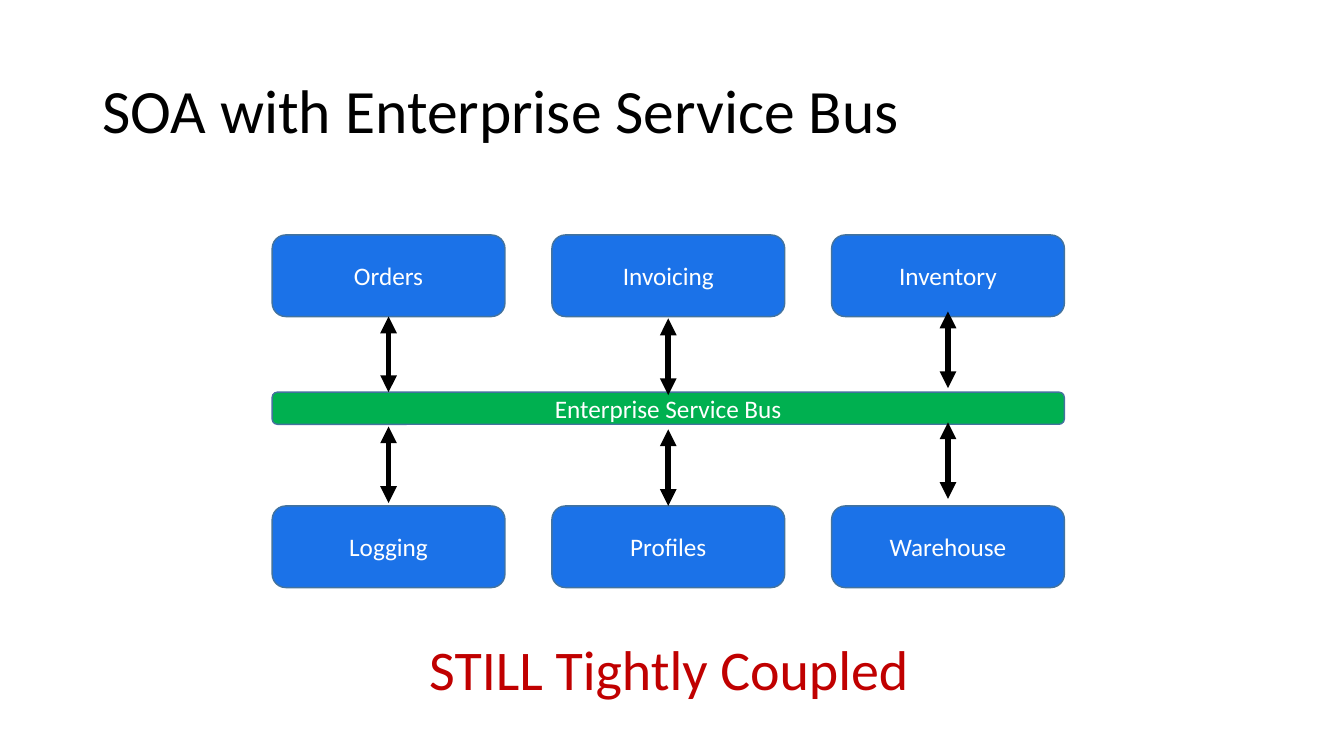
from lxml import etree
from pptx import Presentation
from pptx.dml.color import RGBColor
from pptx.enum.shapes import MSO_CONNECTOR, MSO_SHAPE
from pptx.enum.text import MSO_ANCHOR, PP_ALIGN
from pptx.oxml.ns import qn
from pptx.util import Pt

ROUND = MSO_SHAPE.ROUNDED_RECTANGLE
STRAIGHT = MSO_CONNECTOR.STRAIGHT
MIDDLE, TOP = MSO_ANCHOR.MIDDLE, MSO_ANCHOR.TOP
CENTER = PP_ALIGN.CENTER

BLACK = RGBColor(0x00, 0x00, 0x00)
WHITE = RGBColor(0xFF, 0xFF, 0xFF)
BLUE = RGBColor(0x1B, 0x72, 0xE8)
GREEN = RGBColor(0x00, 0xB0, 0x50)
EDGE = RGBColor(0x43, 0x73, 0x9E)
RED = RGBColor(0xC0, 0x00, 0x00)

FONT = "Calibri"
LEFT, PITCH = 194.4, 199.8
BOX_W, BOX_H = 166.3, 58.3
BUS_TOP, BUS_H = 280.1, 23
ARROW_H = 54.7
ROWS = [
    (167.8, ["Orders", "Invoicing", "Inventory"]),
    (361.4, ["Logging", "Profiles", "Warehouse"]),
]
ARROW_TOPS = [225.4, 304.6]
SHIFTS = [0, 2.1, -2.9]


def set_text(shape, text, size, color, anchor):
    frame = shape.text_frame
    frame.text = text
    frame.vertical_anchor = anchor
    para = frame.paragraphs[0]
    font = para.runs[0].font
    font.name, font.size = FONT, Pt(size)
    font.color.rgb = color
    return para


def add_label(slide, text, left, top, width, height, size, color, anchor, wrap):
    label = slide.shapes.add_textbox(Pt(left), Pt(top), Pt(width), Pt(height))
    label.text_frame.word_wrap = wrap
    return set_text(label, text, size, color, anchor)


def add_box(slide, text, left, top, width, height, fill):
    box = slide.shapes.add_shape(ROUND, Pt(left), Pt(top), Pt(width), Pt(height))
    box.shadow.inherit = False
    box.fill.solid()
    box.fill.fore_color.rgb = fill
    box.line.color.rgb = EDGE
    box.line.width = Pt(1)
    set_text(box, text, 18, WHITE, MIDDLE).alignment = CENTER
    return box


def add_arrow(slide, x, top):
    """Draw a vertical arrow with a head at each end."""
    arrow = slide.shapes.add_connector(
        STRAIGHT, Pt(x), Pt(top), Pt(x), Pt(top + ARROW_H))
    arrow.line.color.rgb = BLACK
    arrow.line.width = Pt(4)
    props = arrow.line._get_or_add_ln()
    for end in ("a:headEnd", "a:tailEnd"):
        etree.SubElement(props, qn(end), type="triangle")
    etree.SubElement(props.getparent(), qn("a:effectLst"))
    return arrow


def main():
    deck = Presentation()
    deck.slide_width, deck.slide_height = Pt(960), Pt(540)
    slide = deck.slides.add_slide(deck.slide_layouts[6])

    title = add_label(slide, "SOA with Enterprise Service Bus",
                      66, 28.8, 828, 104.4, 44, BLACK, MIDDLE, True)
    title.line_spacing = 0.9

    boxes = {}
    for top, names in ROWS:
        for col, name in enumerate(names):
            boxes[name] = add_box(slide, name, LEFT + col * PITCH, top,
                                  BOX_W, BOX_H, BLUE)
    add_box(slide, "Enterprise Service Bus", LEFT, BUS_TOP,
            2 * PITCH + BOX_W, BUS_H, GREEN)

    arrows = [[add_arrow(slide, LEFT + col * PITCH + BOX_W / 2, top + shift)
               for col, shift in enumerate(SHIFTS)] for top in ARROW_TOPS]
    arrows[0][0].begin_connect(boxes["Orders"], 2)
    arrows[1][1].end_connect(boxes["Profiles"], 0)

    add_label(slide, "STILL Tightly Coupled",
              299.5, 450, 360.7, 55.4, 40, RED, TOP, False)
    deck.save("out.pptx")


if __name__ == "__main__":
    main()
